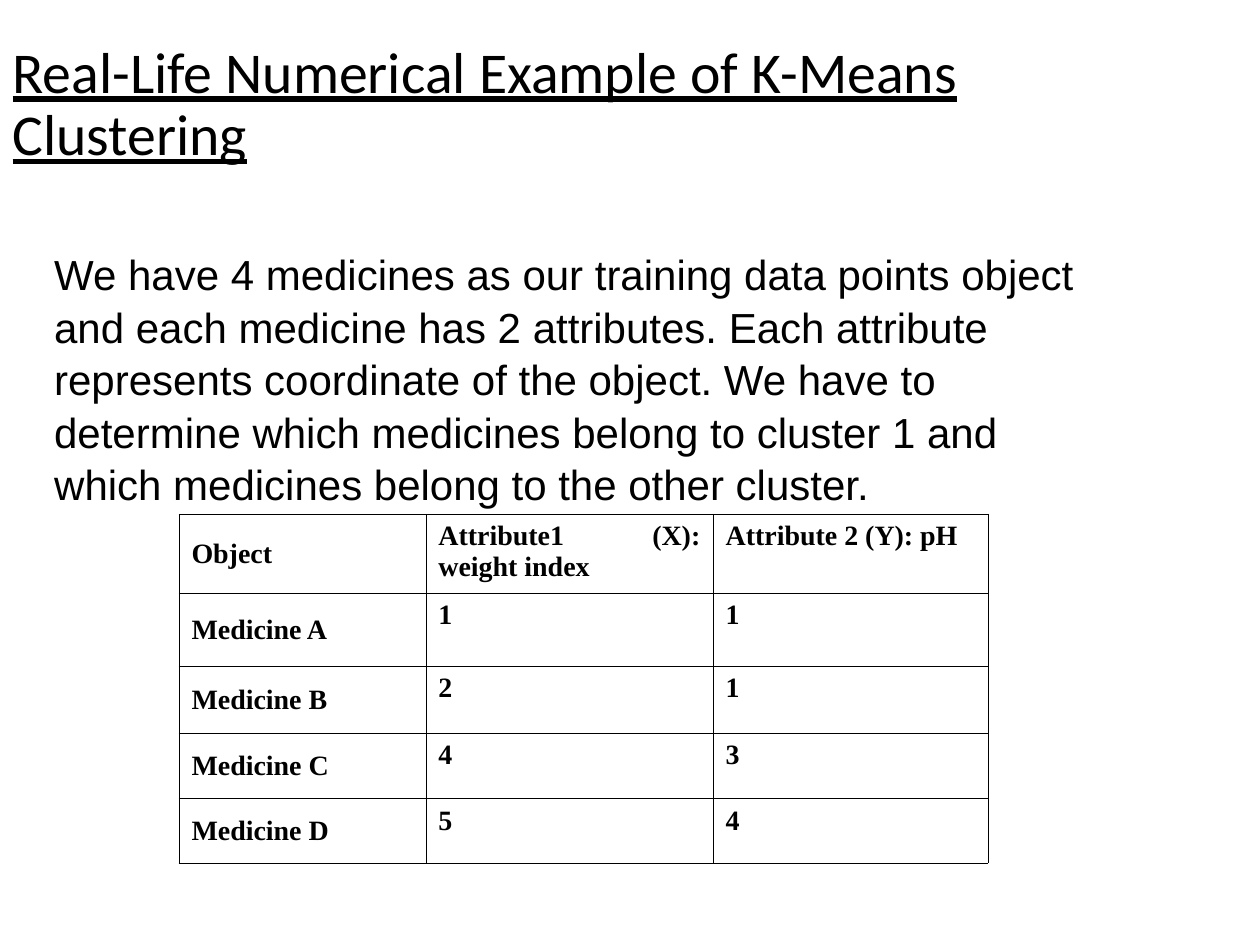
from lxml import etree
from pptx import Presentation
from pptx.dml.color import RGBColor
from pptx.enum.text import MSO_ANCHOR, MSO_AUTO_SIZE, PP_ALIGN
from pptx.oxml.ns import qn
from pptx.util import Inches, Pt

LEFT, JUSTIFY = PP_ALIGN.LEFT, PP_ALIGN.JUSTIFY
TOP, MIDDLE = MSO_ANCHOR.TOP, MSO_ANCHOR.MIDDLE
NO_AUTOFIT = MSO_AUTO_SIZE.NONE

COLOURS = {"text": "000000", "border": "000000"}
BORDER_WIDTH = Pt(0.34)

TITLE_FONT = {"name": "Calibri", "size": Pt(33), "underline": True}
BODY_FONT = {"name": "Arial", "size": Pt(24)}
TABLE_FONT = {"name": "Times New Roman", "size": Pt(16), "bold": True}

TITLE = "Real-Life Numerical Example of K-Means Clustering"
PROBLEM = (
    "We have 4 medicines as our training data points object and each medicine "
    "has 2 attributes. Each attribute represents coordinate of the object. "
    "We have to determine which medicines belong to cluster 1 and which "
    "medicines belong to the other cluster."
)
MEDICINES = [
    ("Object", "Attribute1 (X): weight index", "Attribute 2 (Y): pH"),
    ("Medicine A", "1", "1"),
    ("Medicine B", "2", "1"),
    ("Medicine C", "4", "3"),
    ("Medicine D", "5", "4"),
]
COLUMN_WIDTHS = [1.96, 2.28, 2.18]
ROW_HEIGHTS = [0.63, 0.58, 0.53, 0.52, 0.51]


def write_paragraph(paragraph, text, font_format, alignment):
    run = paragraph.add_run()
    run.text = text
    for attribute, value in font_format.items():
        setattr(run.font, attribute, value)
    run.font.color.rgb = RGBColor.from_string(COLOURS["text"])
    paragraph.alignment = alignment


def fill_placeholder(placeholder, box, text, font_format, anchor, line_spacing):
    placeholder.left, placeholder.top, placeholder.width, placeholder.height = (
        Inches(length) for length in box
    )
    frame = placeholder.text_frame
    frame.word_wrap = True
    frame.auto_size = NO_AUTOFIT
    frame.vertical_anchor = anchor
    paragraph = frame.paragraphs[0]
    write_paragraph(paragraph, text, font_format, LEFT)
    paragraph.space_before = Pt(0)
    paragraph.line_spacing = line_spacing
    return paragraph


def remove_bullet(paragraph):
    properties = paragraph._p.get_or_add_pPr()
    properties.set("marL", "0")
    properties.set("indent", "0")
    etree.SubElement(properties, qn("a:buNone"))


def add_borders(cell):
    properties = cell._tc.get_or_add_tcPr()
    for position, side in enumerate(("lnL", "lnR", "lnT", "lnB")):
        line = etree.Element(qn(f"a:{side}"), w=str(int(BORDER_WIDTH)))
        fill = etree.SubElement(line, qn("a:solidFill"))
        etree.SubElement(fill, qn("a:srgbClr"), val=COLOURS["border"])
        properties.insert(position, line)


def add_medicine_table(slide, left, top):
    table = slide.shapes.add_table(
        len(MEDICINES), len(COLUMN_WIDTHS), Inches(left), Inches(top),
        Inches(sum(COLUMN_WIDTHS)), Inches(sum(ROW_HEIGHTS)),
    ).table
    for column, width in zip(table.columns, COLUMN_WIDTHS):
        column.width = Inches(width)
    for row, height, values in zip(table.rows, ROW_HEIGHTS, MEDICINES):
        row.height = Inches(height)
        for index, (cell, value) in enumerate(zip(row.cells, values)):
            cell.fill.background()
            # Object names are centred vertically, attributes sit at the top
            cell.vertical_anchor = TOP if index else MIDDLE
            write_paragraph(cell.text_frame.paragraphs[0], value, TABLE_FONT, JUSTIFY)
            add_borders(cell)


def main():
    presentation = Presentation()
    presentation.slide_width, presentation.slide_height = Inches(10), Inches(7.5)
    slide = presentation.slides.add_slide(presentation.slide_layouts[1])
    title, problem = slide.placeholders

    # Heading
    fill_placeholder(title, (0, 0.13, 8.25, 1.42), TITLE, TITLE_FONT, MIDDLE, 0.9)

    # Problem statement
    statement = fill_placeholder(
        problem, (0.33, 1.91, 8.58, 2.5), PROBLEM, BODY_FONT, TOP, 1.04
    )
    remove_bullet(statement)

    # Medicines and their attributes
    add_medicine_table(slide, 1.42, 4.08)

    presentation.save("out.pptx")


if __name__ == "__main__":
    main()
